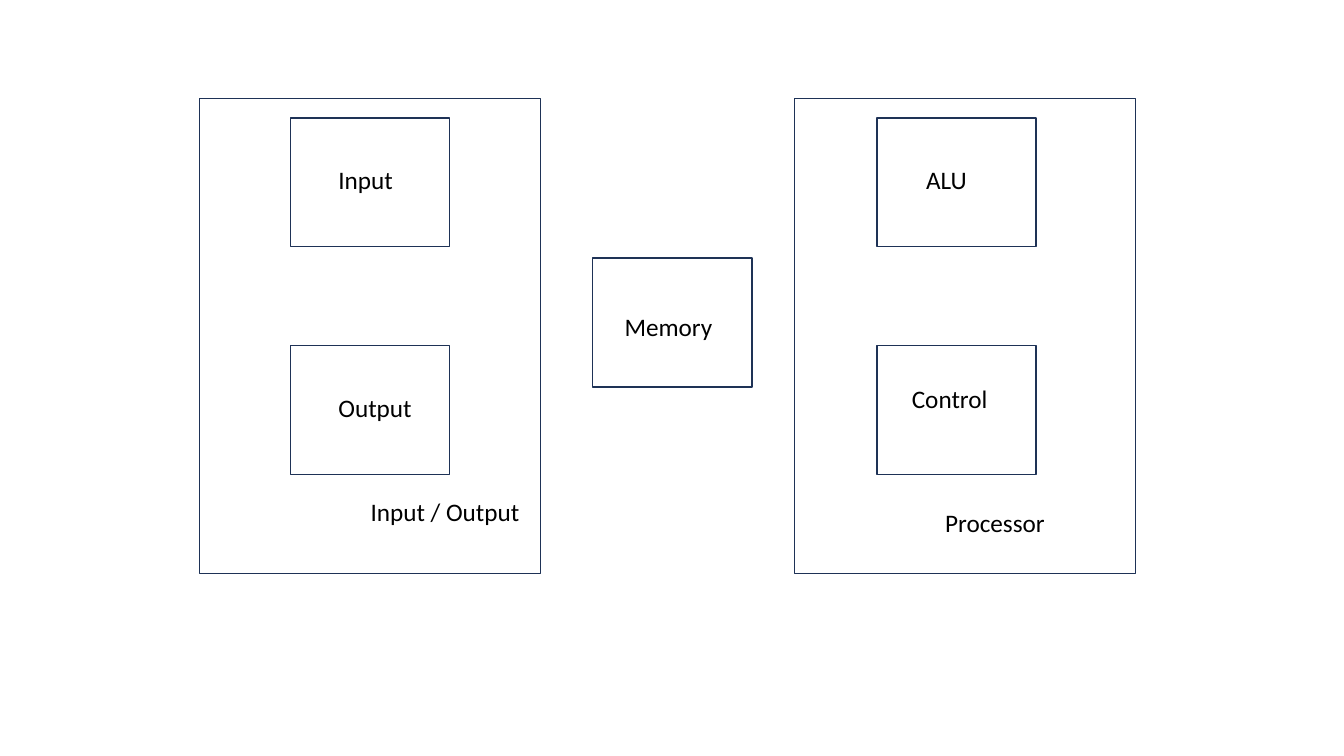
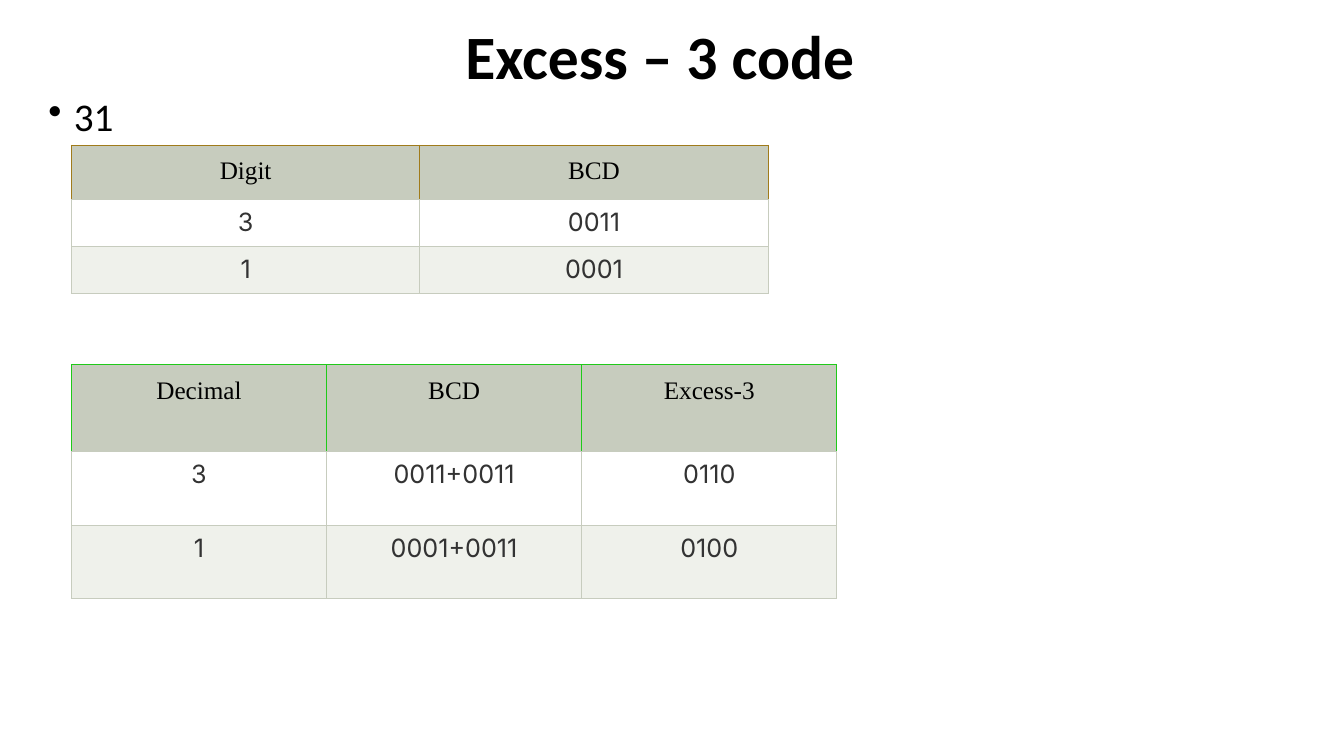
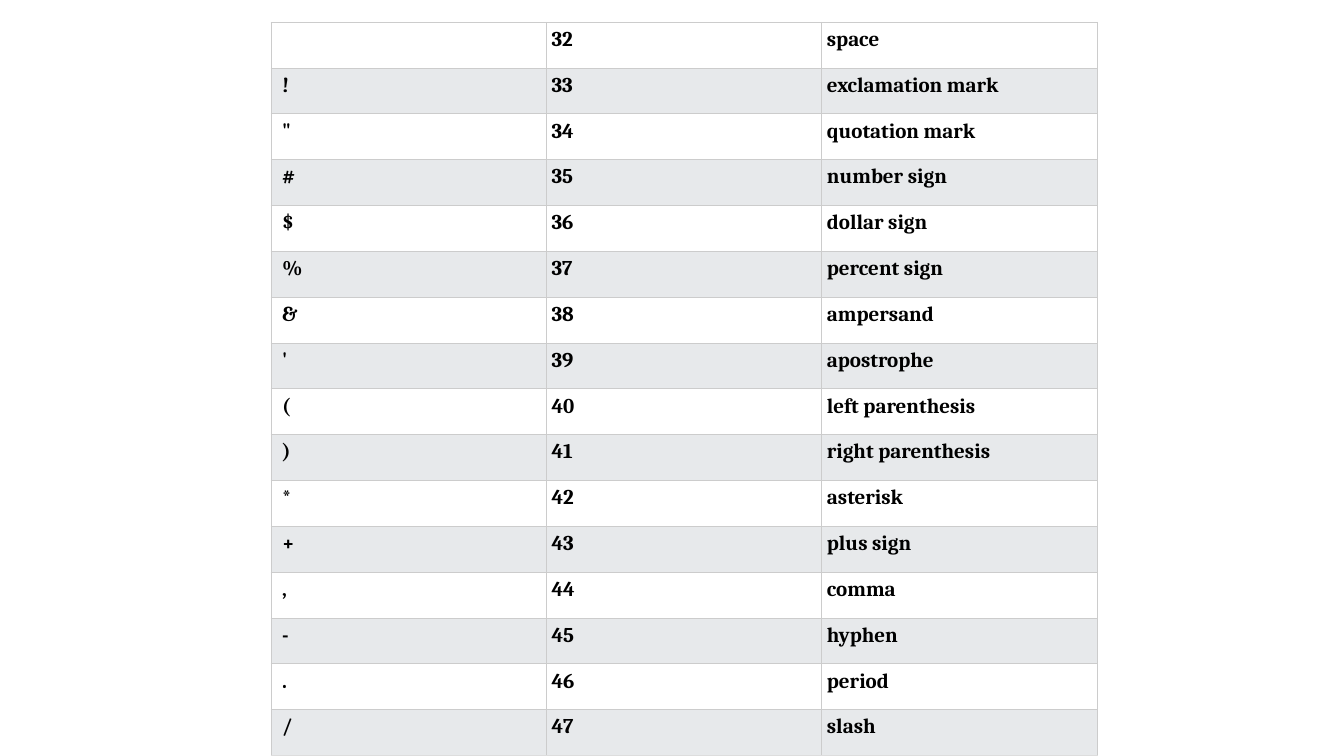
from dataclasses import dataclass

from lxml import etree
from pptx import Presentation
from pptx.dml.color import RGBColor
from pptx.enum.shapes import MSO_SHAPE
from pptx.enum.text import MSO_ANCHOR, PP_ALIGN
from pptx.oxml.ns import qn
from pptx.util import Cm, Pt

RECTANGLE = MSO_SHAPE.RECTANGLE
LEFT, CENTER = PP_ALIGN.LEFT, PP_ALIGN.CENTER
TOP, MIDDLE = MSO_ANCHOR.TOP, MSO_ANCHOR.MIDDLE


@dataclass(frozen=True)
class Theme:
    font: str = "Calibri"
    header_font: str = "Times New Roman"
    digit_font: str = "Inter"
    symbol_font: str = "Cambria"
    title_size: int = 44
    body_size: int = 28
    label_size: int = 18
    symbol_size: int = 15
    text: str = "000000"
    digit: str = "333333"
    outline: str = "1E3256"
    white: str = "FFFFFF"
    sage: str = "C7CCBE"
    pale_sage: str = "EFF1EB"
    gold: str = "A07B1B"
    green: str = "20CA1A"
    pale_gray: str = "E7E9EB"
    gray: str = "CCCCCC"
    light_gray: str = "DDDDDD"


theme = Theme()


def write_text(frame, text, font=theme.font, size=theme.label_size, color=theme.text,
               bold=False, align=LEFT, anchor=TOP, spacing=None, bullet=None):
    frame.word_wrap = True
    frame.vertical_anchor = anchor
    paragraph = frame.paragraphs[0]
    if bullet:
        properties = paragraph._p.get_or_add_pPr()
        properties.set("marL", str(Cm(0.64)))
        properties.set("indent", str(Cm(-0.64)))
        etree.SubElement(properties, qn("a:buChar")).set("char", bullet)
    paragraph.alignment = align
    if spacing:
        paragraph.line_spacing = spacing
    run = paragraph.add_run()
    run.text = text
    run.font.name = font
    run.font.size = Pt(size)
    run.font.bold = bold
    run.font.color.rgb = RGBColor.from_string(color)


def add_grid(slide, left, top, column_width, row_heights, rows, style):
    """Add a table; style(row, column) gives fill, edges (L, R, T, B), margins and text format."""
    columns = len(rows[0])
    table = slide.shapes.add_table(len(rows), columns, Cm(left), Cm(top),
                                   Cm(column_width * columns), Cm(sum(row_heights))).table
    table.first_row = table.horz_banding = False
    for column in table.columns:
        column.width = Cm(column_width)
    for row_index, texts in enumerate(rows):
        table.rows[row_index].height = Cm(row_heights[row_index])
        for column_index, text in enumerate(texts):
            cell = table.cell(row_index, column_index)
            fill, edges, margins, text_format = style(row_index, column_index)
            (cell.margin_left, cell.margin_top,
             cell.margin_right, cell.margin_bottom) = map(Cm, margins)
            for side, color in zip("LRTB", edges):
                line = etree.SubElement(cell._tc.get_or_add_tcPr(), qn(f"a:ln{side}"))
                line.set("w", str(Pt(0.75)))
                solid = etree.SubElement(line, qn("a:solidFill"))
                etree.SubElement(solid, qn("a:srgbClr")).set("val", color)
            cell.fill.solid()
            cell.fill.fore_color.rgb = RGBColor.from_string(fill)
            if text:
                write_text(cell.text_frame, text, **text_format)


presentation = Presentation()
presentation.slide_width, presentation.slide_height = Cm(33.87), Cm(19.05)
blank = presentation.slide_layouts[6]

# Slide 1: blocks of a computer
slide = presentation.slides.add_slide(blank)
group_size, unit_size = (8.59, 11.96), (4.01, 3.25)
boxes = [(left, 2.49, *group_size) for left in (5.03, 20.02)]
boxes += [(left, top, *unit_size) for left in (7.32, 22.1) for top in (2.97, 8.71)]
boxes.append((14.94, 6.5, *unit_size))
for box in boxes:
    shape = slide.shapes.add_shape(RECTANGLE, *map(Cm, box))
    shape.shadow.inherit = False
    shape.fill.background()
    shape.line.color.rgb = RGBColor.from_string(theme.outline)
    shape.line.width = Pt(1)

labels = [
    ("Input", 8.28, 4.01, 2.06),
    ("Output", 8.28, 9.75, 2.51),
    ("Input / Output", 9.09, 12.37, 4.47),
    ("ALU", 23.09, 4.01, 2.74),
    ("Control", 22.73, 9.53, 2.57),
    ("Processor", 23.57, 12.65, 3.05),
    ("Memory", 15.49, 7.72, 2.74),
]
for text, left, top, width in labels:
    label = slide.shapes.add_textbox(Cm(left), Cm(top), Cm(width), Cm(1.8))
    write_text(label.text_frame, text)

# Slide 2: title and number
slide = presentation.slides.add_slide(blank)
title = slide.shapes.add_textbox(Cm(2.03), Cm(-0.33), Cm(29.21), Cm(3.68))
write_text(title.text_frame, "Excess – 3 code", size=theme.title_size, bold=True,
           align=CENTER, anchor=MIDDLE, spacing=0.9)
body = slide.shapes.add_textbox(Cm(0.97), Cm(2.34), Cm(31.93), Cm(16.2))
write_text(body.text_frame, "31", size=theme.body_size, spacing=0.9, bullet="•")

# Slide 2: code tables
code_tables = [
    (3.66, 8.78, [1.33, 1.19, 1.19], theme.gold,
     [("Digit", "BCD"), ("3", "0011"), ("1", "0001")]),
    (9.19, 6.43, [2.18, 1.86, 1.86], theme.green,
     [("Decimal", "BCD", "Excess-3"), ("3", "0011+0011", "0110"), ("1", "0001+0011", "0100")]),
]
for top, column_width, row_heights, header_edge, rows in code_tables:
    header_style = (theme.sage, [header_edge] * 3 + [theme.sage], [0.3] * 4,
                    dict(font=theme.header_font, align=CENTER))
    digit_styles = [(fill, [theme.sage] * 4, [0.2] * 4,
                     dict(font=theme.digit_font, color=theme.digit, align=CENTER))
                    for fill in (theme.white, theme.pale_sage)]
    styles = [header_style, *digit_styles]
    add_grid(slide, 1.8, top, column_width, row_heights, rows,
             lambda row, column: styles[row])

# Slide 3: character codes
slide = presentation.slides.add_slide(blank)
characters = [
    ("", "space"), ("!", "exclamation mark"), ('"', "quotation mark"), ("#", "number sign"),
    ("$", "dollar sign"), ("%", "percent sign"), ("&", "ampersand"), ("'", "apostrophe"),
    ("(", "left parenthesis"), (")", "right parenthesis"), ("*", "asterisk"),
    ("+", "plus sign"), (",", "comma"), ("-", "hyphen"), (".", "period"), ("/", "slash"),
]
rows = [(symbol, str(code), name) for code, (symbol, name) in enumerate(characters, 32)]
symbol_format = dict(font=theme.symbol_font, size=theme.symbol_size, bold=True)
add_grid(slide, 6.83, 0.56, 6.94, [18.48 / len(rows)] * len(rows), rows,
         lambda row, column: (
             theme.pale_gray if row % 2 else theme.white,
             [theme.gray] * 3 + [theme.light_gray if row == len(rows) - 1 else theme.gray],
             [0.13 if column else 0.28, 0.13, 0.13, 0.13],
             symbol_format))

presentation.save("out.pptx")
